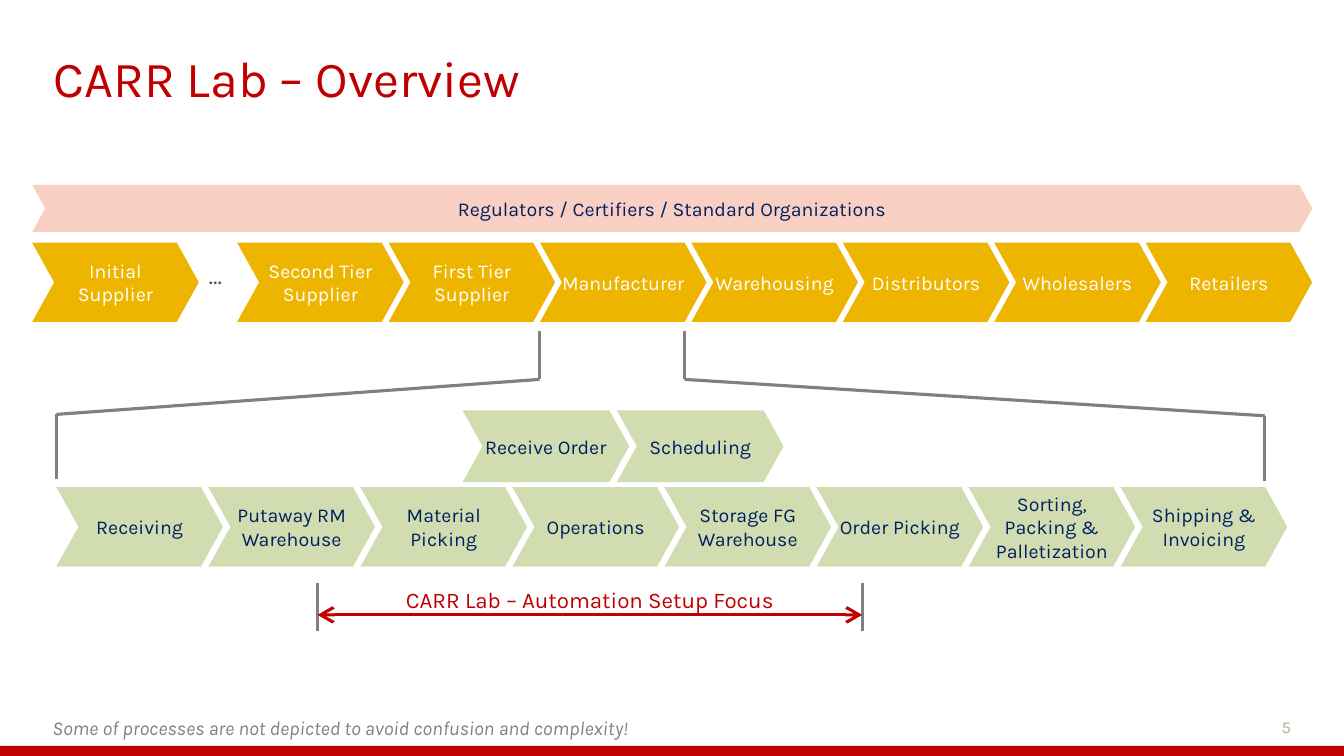
from itertools import pairwise

from lxml import etree
from pptx import Presentation
from pptx.dml.color import RGBColor
from pptx.enum import shapes, text
from pptx.oxml import ns
from pptx.util import Pt

FONT = "Karla"
RED = RGBColor(0xC0, 0x00, 0x00)
GOLD = RGBColor(0xEE, 0xB5, 0x00)
PINK = RGBColor(0xF9, 0xCF, 0xC3)
GREEN = RGBColor(0xD1, 0xDD, 0xB0)
NAVY = RGBColor(0x00, 0x20, 0x60)
WHITE = RGBColor(0xFF, 0xFF, 0xFF)
GREY = RGBColor(0x80, 0x80, 0x80)
DARK_GREY = RGBColor(0x59, 0x59, 0x59)
TAUPE = RGBColor(0xB2, 0xAC, 0x93)

LEFT, CENTER, RIGHT = text.PP_ALIGN.LEFT, text.PP_ALIGN.CENTER, text.PP_ALIGN.RIGHT
TOP, MIDDLE = text.MSO_ANCHOR.TOP, text.MSO_ANCHOR.MIDDLE

STEP_W, STEP_H = 119, 56.7
SUPPLY_CHAIN = ["Second Tier Supplier", "First Tier Supplier", "Manufacturer",
                "Warehousing", "Distributors", "Wholesalers", "Retailers"]
PLANT_STEPS = ["Receiving", "Putaway RM Warehouse", "Material Picking", "Operations",
               "Storage FG Warehouse", "Order Picking",
               "Sorting, Packing & Palletization", "Shipping & Invoicing"]
ORDER_STEPS = ["Receive Order", "Scheduling"]


def write(sp, words, size, color, align=LEFT, anchor=MIDDLE,
          insets=(0, 0), wrap=True, italic=False):
    """Fill a shape with one run; insets are horizontal and vertical points."""
    tf = sp.text_frame
    tf.word_wrap = wrap
    tf.auto_size = text.MSO_AUTO_SIZE.NONE
    tf.vertical_anchor = anchor
    tf.margin_left = tf.margin_right = Pt(insets[0])
    tf.margin_top = tf.margin_bottom = Pt(insets[1])
    p = tf.paragraphs[0]
    p.alignment = align
    r = p.add_run()
    r.text = words
    r.font.name = FONT
    r.font.size = Pt(size)
    r.font.italic = italic
    r.font.color.rgb = color


def add_title(slide, words):
    sp = slide.shapes.title
    sp.left, sp.top, sp.width, sp.height = Pt(31), Pt(19.4), Pt(823), Pt(71.3)
    write(sp, words, 36, RED, insets=(7.2, 3.6))


def add_label(slide, box, words, size, color, **style):
    sp = slide.shapes.add_textbox(*map(Pt, box))
    write(sp, words, size, color, **style)


def add_filled(parent, kind, box, fill):
    sp = parent.shapes.add_shape(kind, *map(Pt, box))
    sp.shadow.inherit = False
    sp.fill.solid()
    sp.fill.fore_color.rgb = fill
    sp.line.fill.background()
    return sp


def add_chevron(parent, box, words, fill, color):
    """Add a labelled chevron; a single word stays on one line."""
    sp = add_filled(parent, shapes.MSO_SHAPE.CHEVRON, box, fill)
    sp.adjustments[0] = 0.277
    write(sp, words, 14, color, CENTER, wrap=" " in words)


def add_chevron_row(parent, left, top, pitch, height, names, fill, color):
    for i, name in enumerate(names):
        add_chevron(parent, (left + i * pitch, top, STEP_W, height), name, fill, color)


def add_line(slide, start, end, color=GREY, arrows=False):
    cx = slide.shapes.add_connector(
        shapes.MSO_CONNECTOR.STRAIGHT, *map(Pt, (*start, *end)))
    cx.line.color.rgb = color
    cx.line.width = Pt(2.25)
    if arrows:
        ln = cx.line._get_or_add_ln()
        for tag in ("a:headEnd", "a:tailEnd"):
            etree.SubElement(ln, ns.qn(tag), type="arrow", w="lg", len="lg")
    etree.SubElement(cx._element.spPr, ns.qn("a:effectLst"))


def add_polyline(slide, points):
    for start, end in pairwise(points):
        add_line(slide, start, end)


def main():
    prs = Presentation()
    prs.slide_width, prs.slide_height = Pt(960), Pt(540)
    slide = prs.slides.add_slide(prs.slide_layouts[5])

    add_filled(slide, shapes.MSO_SHAPE.RECTANGLE, (0, 532.8, 960, 7.2), RED)
    add_title(slide, "CARR Lab – Overview")
    add_label(slide, (879, 508.3, 50.4, 31.7), "5", 12, TAUPE,
              align=RIGHT, anchor=TOP, insets=(7.2, 3.6))

    # Supply chain
    add_chevron(slide, (23, 132, 914.4, 33.8),
                "Regulators / Certifiers / Standard Organizations", PINK, NAVY)
    add_chevron(slide, (23, 173.3, STEP_W, STEP_H), "Initial Supplier", GOLD, WHITE)
    add_label(slide, (149, 185, 13, 21.6), "...", 18, DARK_GREY, wrap=False)
    add_chevron_row(slide, 169.4, 173.3, 108.15, STEP_H, SUPPLY_CHAIN, GOLD, WHITE)

    # Zoom into the manufacturer
    add_polyline(slide, [(385.5, 236.7), (385.5, 271), (40.3, 296), (40.3, 342.5)])
    add_polyline(slide, [(488.9, 236.7), (488.9, 271), (903.4, 297), (903.4, 343.5)])
    orders = slide.shapes.add_group_shape()
    add_chevron_row(orders, 330.5, 293.2, 110.2, 51.1, ORDER_STEPS, GREEN, NAVY)
    add_chevron_row(slide, 40.3, 348, 108.6, STEP_H, PLANT_STEPS, GREEN, NAVY)

    # Focus range
    focus_left, focus_right = 226.8, 615.9
    for x in (focus_left, focus_right):
        add_line(slide, (x, 450.7), (x, 416.6))
    add_line(slide, (focus_left, 439.2), (focus_right, 439.2), RED, arrows=True)
    add_label(slide, (focus_left, 414.5, focus_right - focus_left, 27.4),
              "CARR Lab – Automation Setup Focus", 16, RED,
              align=CENTER, insets=(0, 3.6))

    add_label(slide, (30.4, 508, 609, 24.2),
              "Some of processes are not depicted to avoid confusion and complexity!",
              14, GREY, anchor=TOP, insets=(7.2, 3.6), italic=True)
    prs.save("out.pptx")


if __name__ == "__main__":
    main()
